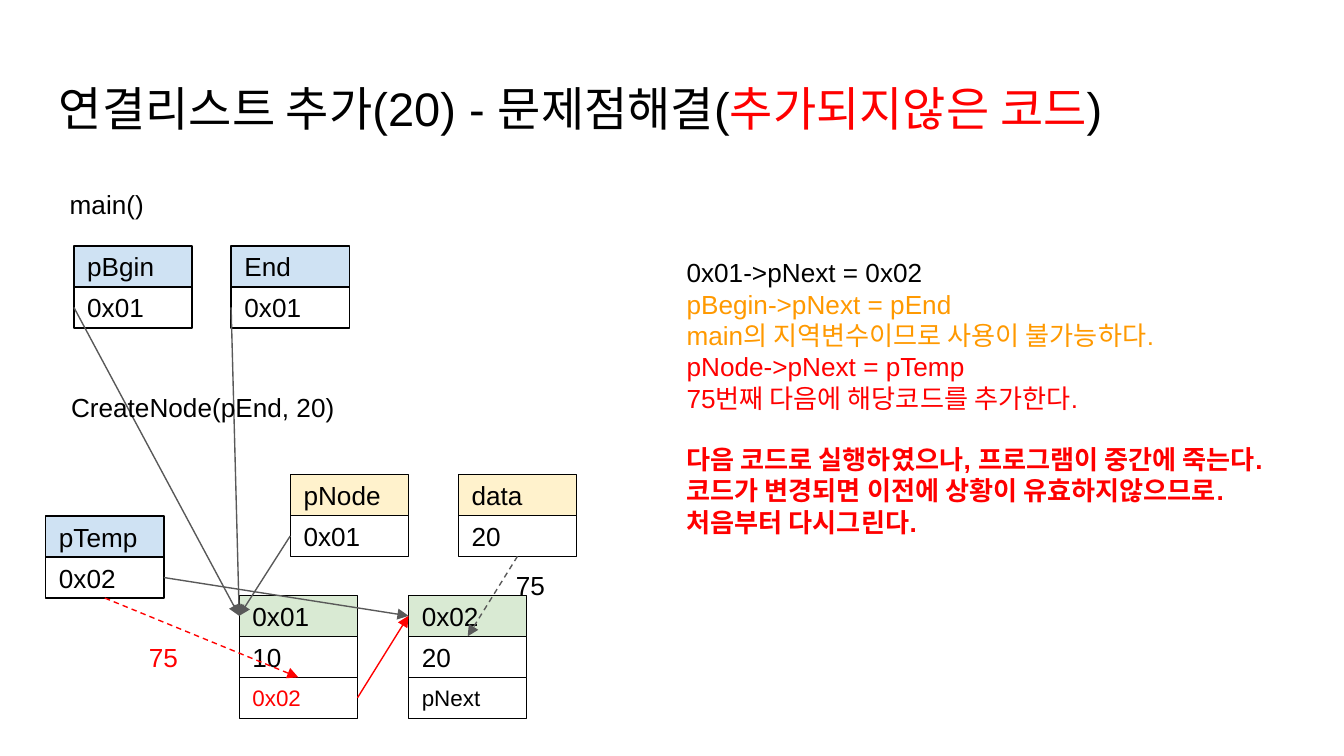
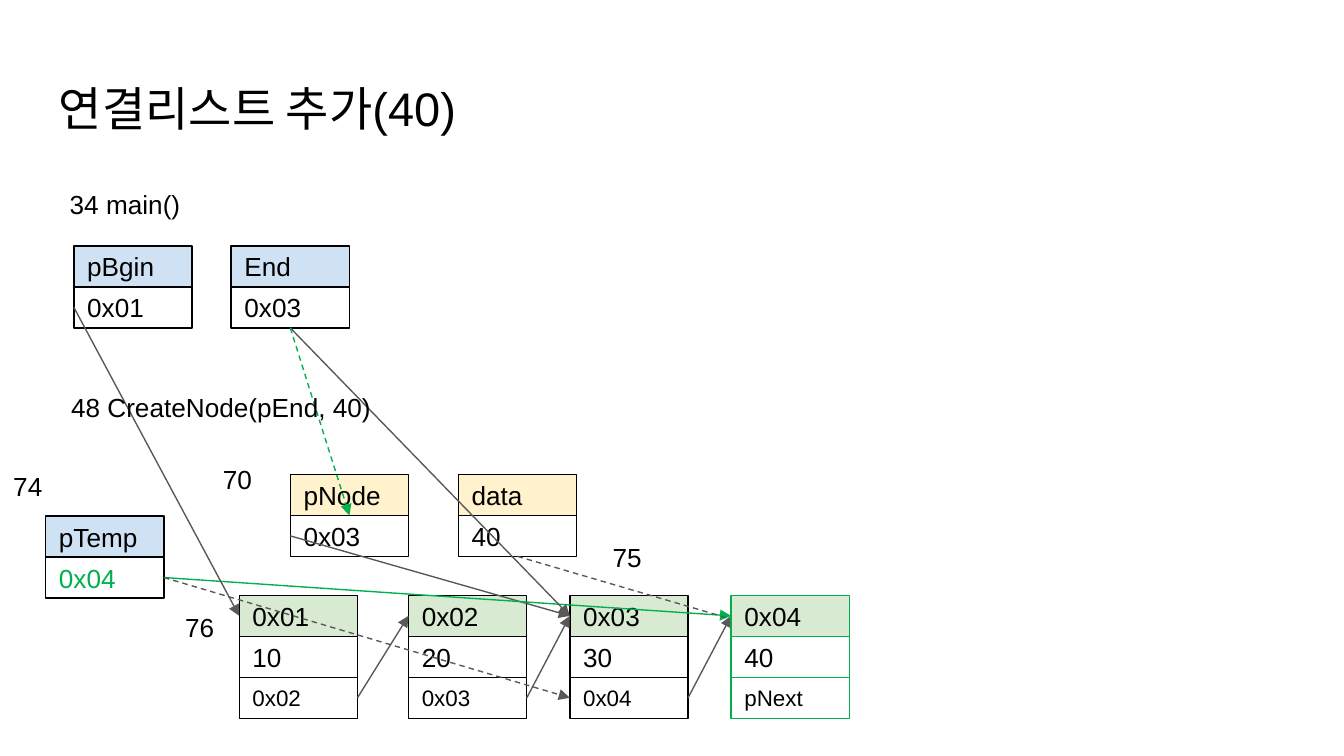
from dataclasses import dataclass
from enum import IntEnum
from typing import NamedTuple

import pptx
import pptx.dml.color
import pptx.enum.dml
import pptx.enum.shapes
import pptx.enum.text
import pptx.oxml
import pptx.oxml.ns
import pptx.util

EMU_PER_PX = 4572  # 200 px to the inch
CELL_W, CELL_H = 176, 61
INSET = 20
FONT = "Arial"
TITLE_PT, BODY_PT, SMALL_PT = 25.2, 14, 12

BLACK, WHITE, GREY = "000000", "FFFFFF", "595959"
RED, ORANGE, GREEN = "FF0000", "FF9900", "00B050"
MAIN_FILL, PARAM_FILL, NODE_FILL = "CFE2F3", "FFF2CC", "D9EAD3"


class Side(IntEnum):
    """Connection sites of a rectangle."""
    TOP = 0
    LEFT = 1
    BOTTOM = 2
    RIGHT = 3


class Spot(NamedTuple):
    x: int
    y: int
    fill: str


class Span(NamedTuple):
    text: str
    color: str = BLACK
    bold: bool = False
    gap_pt: int = 0


class End(NamedTuple):
    stack: str
    row: int
    side: Side


class Arrow(NamedTuple):
    start: End
    end: End
    color: str = GREY
    dashed: bool = False


class Label(NamedTuple):
    x: int
    y: int
    w: int
    paragraphs: list[Span]


@dataclass
class Stack:
    """A variable or list node: its header, then the values below it."""
    name: str
    values: tuple[str, ...]
    value_color: str = BLACK
    line: str = BLACK
    in_front: bool = False


@dataclass
class Diagram:
    title: list[Span]
    stacks: list[Stack]
    arrows: list[Arrow]
    labels: list[Label]


SPOTS = {
    "pBgin": Spot(110, 366, MAIN_FILL),
    "End": Spot(344, 366, MAIN_FILL),
    "pTemp": Spot(68, 768, MAIN_FILL),
    "pNode": Spot(432, 706, PARAM_FILL),
    "data": Spot(682, 706, PARAM_FILL),
    "0x01": Spot(356, 886, NODE_FILL),
    "0x02": Spot(608, 886, NODE_FILL),
    "0x03": Spot(848, 886, NODE_FILL),
    "0x04": Spot(1088, 886, NODE_FILL),
}


def px(n: int) -> pptx.util.Emu:
    return pptx.util.Emu(n * EMU_PER_PX)


def rgb(color: str) -> pptx.dml.color.RGBColor:
    return pptx.dml.color.RGBColor.from_string(color)


def style_run(r, size: float, color: str, bold: bool = False) -> None:
    r.font.name = FONT
    r.font.size = pptx.util.Pt(size)
    r.font.color.rgb = rgb(color)
    if bold:
        r.font.bold = True


def set_frame(tf) -> None:
    tf.word_wrap = True
    tf.margin_left = tf.margin_top = tf.margin_right = tf.margin_bottom = px(INSET)


def add_title(s, spans: list[Span]) -> None:
    tf = s.shapes.add_textbox(px(68), px(98), px(1864), px(126)).text_frame
    set_frame(tf)
    for span in spans:
        r = tf.paragraphs[0].add_run()
        r.text = span.text
        style_run(r, TITLE_PT, span.color)


def add_label(s, label: Label) -> None:
    lines = label.paragraphs
    height = 2 * INSET + 47 * len(lines)
    tf = s.shapes.add_textbox(px(label.x), px(label.y), px(label.w), px(height)).text_frame
    set_frame(tf)
    tf.auto_size = pptx.enum.text.MSO_AUTO_SIZE.SHAPE_TO_FIT_TEXT
    tf.text = "\n".join(span.text for span in lines)
    for p, span in zip(tf.paragraphs, lines):
        if span.gap_pt:
            p.space_before = pptx.util.Pt(span.gap_pt)
        style_run(p.runs[0], BODY_PT, span.color, span.bold)


def add_stack(s, stack: Stack):
    """Draw the stack as a group and return that group."""
    spot = SPOTS[stack.name]
    group = s.shapes.add_group_shape()
    for row, text in enumerate((stack.name, *stack.values)):
        sp = group.shapes.add_shape(
            pptx.enum.shapes.MSO_SHAPE.RECTANGLE,
            px(spot.x), px(spot.y + row * CELL_H), px(CELL_W), px(CELL_H))
        sp.shadow.inherit = False
        sp.fill.solid()
        sp.fill.fore_color.rgb = rgb(WHITE if row else spot.fill)
        sp.line.color.rgb = rgb(stack.line)
        sp.line.width = pptx.util.Pt(0.75)
        tf = sp.text_frame
        set_frame(tf)
        tf.vertical_anchor = pptx.enum.text.MSO_ANCHOR.MIDDLE
        tf.text = text
        p = tf.paragraphs[0]
        p.alignment = pptx.enum.text.PP_ALIGN.LEFT
        is_last = row == len(stack.values)
        style_run(p.runs[0], SMALL_PT if row == 2 else BODY_PT,
                  stack.value_color if is_last else BLACK)
    return group


def add_arrow(s, arrow: Arrow, groups: dict) -> None:
    c = s.shapes.add_connector(pptx.enum.shapes.MSO_CONNECTOR.STRAIGHT, 0, 0, 0, 0)
    start, end = arrow.start, arrow.end
    c.begin_connect(groups[start.stack].shapes[start.row], start.side)
    c.end_connect(groups[end.stack].shapes[end.row], end.side)
    c.line.color.rgb = rgb(arrow.color)
    c.line.width = pptx.util.Pt(0.75)
    if arrow.dashed:
        c.line.dash_style = pptx.enum.dml.MSO_LINE.DASH
    ns = pptx.oxml.ns.nsdecls("a")
    sp_pr = c._element.spPr
    sp_pr.find(pptx.oxml.ns.qn("a:ln")).append(
        pptx.oxml.parse_xml(f'<a:tailEnd {ns} type="triangle"/>'))
    sp_pr.append(pptx.oxml.parse_xml(f"<a:effectLst {ns}/>"))


def add_diagram(prs, diagram: Diagram) -> None:
    s = prs.slides.add_slide(prs.slide_layouts[6])
    add_title(s, diagram.title)
    groups = {stack.name: add_stack(s, stack) for stack in diagram.stacks}
    for arrow in diagram.arrows:
        add_arrow(s, arrow, groups)
    for stack in diagram.stacks:
        if stack.in_front:
            s.shapes._spTree.append(groups[stack.name]._element)
    for label in diagram.labels:
        add_label(s, label)


def call_labels(main: str, create: str) -> list[Label]:
    return [Label(84, 260, 1098, [Span(main)]), Label(86, 562, 1098, [Span(create)])]


def next_link(name: str, target: str, color: str = GREY) -> Arrow:
    """Arrow from a node's pNext cell to the next node's address."""
    return Arrow(End(name, 2, Side.RIGHT), End(target, 0, Side.LEFT), color)


BEGIN_LINK = Arrow(End("pBgin", 1, Side.LEFT), End("0x01", 0, Side.LEFT))

EXPLANATION = [
    Span("0x01->pNext = 0x02"),
    Span("pBegin->pNext = pEnd", ORANGE),
    Span("main의 지역변수이므로 사용이 불가능하다.", ORANGE),
    Span("pNode->pNext = pTemp", RED),
    Span("75번째 다음에 해당코드를 추가한다.", RED),
    Span("다음 코드로 실행하였으나, 프로그램이 중간에 죽는다.", RED, True, 16),
    Span("코드가 변경되면 이전에 상황이 유효하지않으므로.", RED, True),
    Span("처음부터 다시그린다.", RED, True),
]

DIAGRAMS = [
    Diagram(
        title=[Span("연결리스트 추가(20) - 문제점해결("),
               Span("추가되지않은 코드", RED), Span(")")],
        stacks=[
            Stack("pBgin", ("0x01",)),
            Stack("End", ("0x01",)),
            Stack("0x01", ("10", "0x02"), RED),
            Stack("pNode", ("0x01",)),
            Stack("data", ("20",)),
            Stack("pTemp", ("0x02",)),
            Stack("0x02", ("20", "pNext")),
        ],
        arrows=[
            Arrow(End("End", 1, Side.LEFT), End("0x01", 0, Side.LEFT)),
            BEGIN_LINK,
            Arrow(End("pTemp", 1, Side.RIGHT), End("0x02", 0, Side.LEFT)),
            Arrow(End("data", 1, Side.BOTTOM), End("0x02", 0, Side.BOTTOM), dashed=True),
            next_link("0x01", "0x02", RED),
            Arrow(End("pNode", 1, Side.LEFT), End("0x01", 0, Side.LEFT)),
            Arrow(End("pTemp", 1, Side.BOTTOM), End("0x01", 1, Side.BOTTOM), RED, True),
        ],
        labels=[
            *call_labels("main()", "CreateNode(pEnd, 20)"),
            Label(1002, 362, 998, EXPLANATION),
            Label(748, 828, 110, [Span("75")]),
            Label(202, 934, 110, [Span("75", RED)]),
        ],
    ),
    Diagram(
        title=[Span("연결리스트 추가(40)")],
        stacks=[
            Stack("pBgin", ("0x01",)),
            Stack("End", ("0x03",)),
            Stack("pNode", ("0x03",)),
            Stack("data", ("40",)),
            Stack("pTemp", ("0x04",), GREEN),
            Stack("0x01", ("10", "0x02")),
            Stack("0x02", ("20", "0x03")),
            Stack("0x03", ("30", "0x04")),
            Stack("0x04", ("40", "pNext"), line=GREEN, in_front=True),
        ],
        arrows=[
            Arrow(End("pNode", 1, Side.LEFT), End("0x03", 0, Side.LEFT)),
            Arrow(End("pTemp", 1, Side.RIGHT), End("0x04", 0, Side.LEFT), GREEN),
            next_link("0x01", "0x02"),
            next_link("0x02", "0x03"),
            Arrow(End("End", 1, Side.BOTTOM), End("0x03", 0, Side.LEFT)),
            BEGIN_LINK,
            Arrow(End("data", 1, Side.BOTTOM), End("0x04", 0, Side.BOTTOM), dashed=True),
            Arrow(End("pTemp", 1, Side.RIGHT), End("0x03", 2, Side.LEFT), dashed=True),
            Arrow(End("End", 1, Side.BOTTOM), End("pNode", 0, Side.BOTTOM), GREEN, True),
            next_link("0x03", "0x04"),
        ],
        labels=[
            *call_labels("34 main()", "48 CreateNode(pEnd, 40)"),
            Label(0, 680, 142, [Span("74")]),
            Label(892, 786, 88, [Span("75")]),
            Label(256, 890, 88, [Span("76")]),
            Label(312, 670, 88, [Span("70")]),
        ],
    ),
]


def main() -> None:
    prs = pptx.Presentation()
    prs.slide_width, prs.slide_height = px(2000), px(1125)
    for diagram in DIAGRAMS:
        add_diagram(prs, diagram)
    prs.save("out.pptx")


if __name__ == "__main__":
    main()
